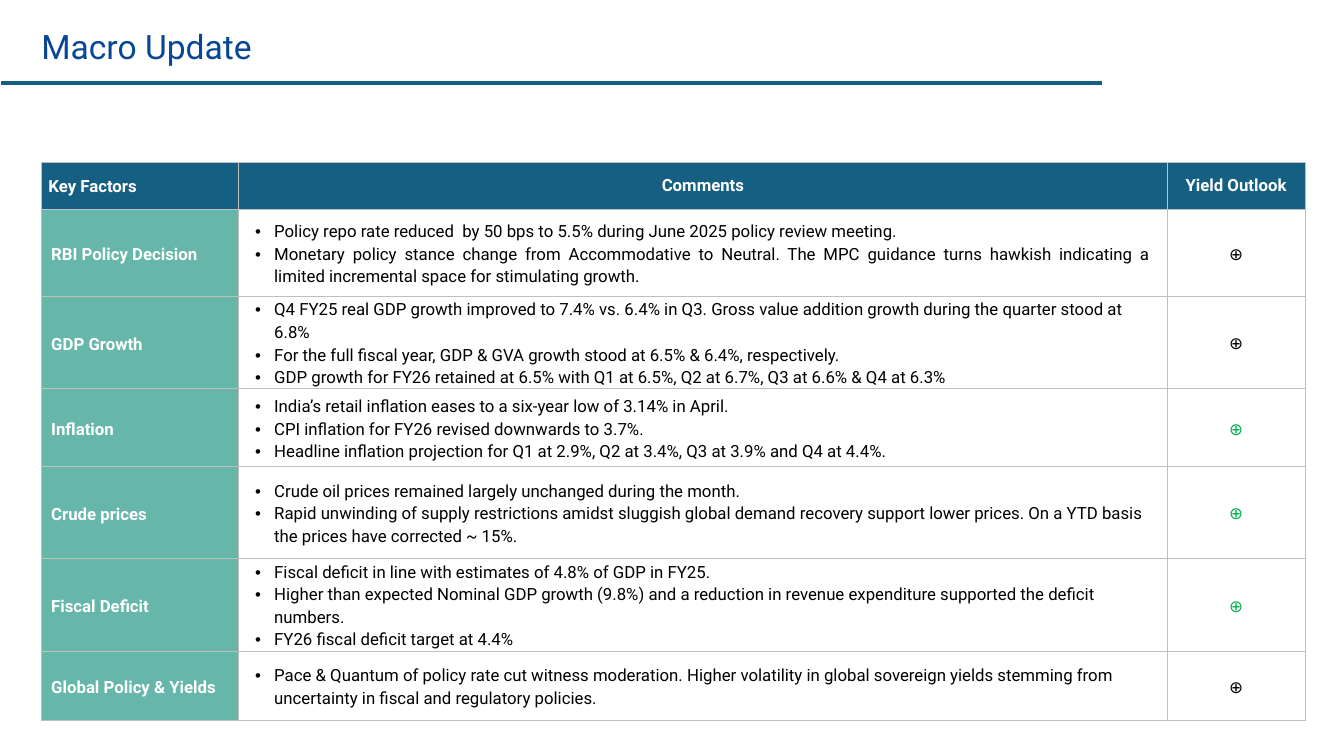
from lxml import etree
from pptx import Presentation
from pptx.dml.color import RGBColor
from pptx.enum.shapes import MSO_CONNECTOR
from pptx.enum.text import MSO_ANCHOR, MSO_AUTO_SIZE, PP_ALIGN
from pptx.oxml.ns import qn
from pptx.util import Cm, Pt

LEFT, CENTER, JUSTIFY = PP_ALIGN.LEFT, PP_ALIGN.CENTER, PP_ALIGN.JUSTIFY
MIDDLE = MSO_ANCHOR.MIDDLE
GROW = MSO_AUTO_SIZE.SHAPE_TO_FIT_TEXT
STRAIGHT = MSO_CONNECTOR.STRAIGHT

FONT = "Roboto"
NAVY, BLUE, TEAL = "084795", "156082", "66B6A9"
WHITE, BLACK, GREEN, GREY = "FFFFFF", "000000", "00B050", "BFBFBF"
OUTLOOK = "⊕"
INDENT = Cm(0.48)

HEADINGS = ["Key Factors", "Comments", "Yield Outlook"]
COLUMN_WIDTHS = [4.98, 23.39, 3.48]
ROW_HEIGHTS = [1.19, 2.18, 2.34, 1.96, 2.31, 2.34, 1.75]
FACTORS = [
    ("RBI Policy Decision", JUSTIFY, BLACK, [
        "Policy repo rate reduced  by 50 bps to 5.5% during June 2025 policy review meeting.",
        "Monetary policy stance change from Accommodative to Neutral. The MPC guidance turns "
        "hawkish indicating a limited incremental space for stimulating growth.",
    ]),
    ("GDP Growth", LEFT, BLACK, [
        "Q4 FY25 real GDP growth improved to 7.4% vs. 6.4% in Q3. Gross value addition growth "
        "during the quarter stood at 6.8%",
        "For the full fiscal year, GDP & GVA growth stood at 6.5% & 6.4%, respectively.",
        "GDP growth for FY26 retained at 6.5% with Q1 at 6.5%, Q2 at 6.7%, Q3 at 6.6% & Q4 at 6.3%",
    ]),
    ("Inflation", LEFT, GREEN, [
        "India’s retail inflation eases to a six-year low of 3.14% in April.",
        "CPI inflation for FY26 revised downwards to 3.7%.",
        "Headline inflation projection for Q1 at 2.9%, Q2 at 3.4%, Q3 at 3.9% and Q4 at 4.4%.",
    ]),
    ("Crude prices", LEFT, GREEN, [
        "Crude oil prices remained largely unchanged during the month.",
        "Rapid unwinding of supply restrictions amidst sluggish global demand recovery support "
        "lower prices. On a YTD basis the prices have corrected ~ 15%.",
    ]),
    ("Fiscal Deficit", LEFT, GREEN, [
        "Fiscal deficit in line with estimates of 4.8% of GDP in FY25.",
        "Higher than expected Nominal GDP growth (9.8%) and a reduction in revenue expenditure "
        "supported the deficit numbers.",
        "FY26 fiscal deficit target at 4.4%",
    ]),
    ("Global Policy & Yields", LEFT, BLACK, [
        "Pace & Quantum of policy rate cut witness moderation. Higher volatility in global "
        "sovereign yields stemming from uncertainty in fiscal and regulatory policies.",
    ]),
]


def rgb(value):
    return RGBColor.from_string(value)


def apply(target, formats):
    for name, value in formats.items():
        setattr(target, name, value)


def margins(left, top, right, bottom):
    sides = ("left", "top", "right", "bottom")
    return {f"margin_{side}": Cm(size) for side, size in zip(sides, (left, top, right, bottom))}


HEADING_MARGINS = [margins(0.18, 0.02, 0.02, 0)] + [margins(0.28, 0, 0.28, 0)] * 2
FACTOR_MARGINS = margins(0.25, 0.02, 0.02, 0)
BODY_MARGINS = margins(0.41, 0, 0.41, 0)


def write(paragraph, text, color, size=12, bold=False, **formats):
    run = paragraph.add_run()
    run.text = text
    apply(run.font, {"name": FONT, "size": Pt(size), "bold": bold})
    run.font.color.rgb = rgb(color)
    apply(paragraph, formats)


def add_bullet(paragraph):
    properties = paragraph._p.get_or_add_pPr()
    properties.set("marL", str(INDENT))
    properties.set("indent", str(-INDENT))
    etree.SubElement(properties, qn("a:buFont")).set("typeface", "Arial")
    etree.SubElement(properties, qn("a:buChar")).set("char", "•")


def add_borders(cell):
    properties = cell._tc.get_or_add_tcPr()
    for side in ("lnL", "lnR", "lnT", "lnB"):
        border = etree.SubElement(properties, qn(f"a:{side}"), w=str(Pt(0.75)))
        fill = etree.SubElement(border, qn("a:solidFill"))
        etree.SubElement(fill, qn("a:srgbClr")).set("val", GREY)


def fill_cell(cell, lines, color, insets, background=None, bulleted=False, **formats):
    apply(cell, {"vertical_anchor": MIDDLE, **insets})
    add_borders(cell)
    if background:
        cell.fill.solid()
        cell.fill.fore_color.rgb = rgb(background)
    else:
        cell.fill.background()
    for index, line in enumerate(lines):
        frame = cell.text_frame
        paragraph = frame.add_paragraph() if index else frame.paragraphs[0]
        if bulleted:
            add_bullet(paragraph)
        write(paragraph, line, color, **formats)


def build_header(slide, left, top, width, height):
    title = slide.shapes.title
    apply(title, {"left": left, "top": top, "width": width, "height": height})
    frame = title.text_frame
    apply(frame, {"vertical_anchor": MIDDLE, "word_wrap": True, "auto_size": GROW,
                  **margins(0, 0, 0, 0)})
    write(frame.paragraphs[0], "Macro Update", NAVY, size=24, alignment=LEFT, line_spacing=0.9)

    rule_y = top + height + Cm(0.36)
    rule = slide.shapes.add_connector(STRAIGHT, Cm(0.03), rule_y, Cm(27.76), rule_y)
    rule.line.color.rgb = rgb(BLUE)
    rule.line.width = Pt(3.5)
    etree.SubElement(rule._element.spPr, qn("a:effectLst"))


def build_outlook_table(slide, left, top, width, height):
    table = slide.shapes.add_table(
        len(ROW_HEIGHTS), len(COLUMN_WIDTHS), left, top, width, height).table
    for column, size in zip(table.columns, COLUMN_WIDTHS):
        column.width = Cm(size)
    for row, size in zip(table.rows, ROW_HEIGHTS):
        row.height = Cm(size)

    for column, heading in enumerate(HEADINGS):
        fill_cell(table.cell(0, column), [heading], WHITE, HEADING_MARGINS[column], BLUE,
                  bold=True, alignment=CENTER if column else LEFT)
    for row, (factor, alignment, outlook_color, comments) in enumerate(FACTORS, 1):
        fill_cell(table.cell(row, 0), [factor], WHITE, FACTOR_MARGINS, TEAL,
                  bold=True, line_spacing=1.15)
        fill_cell(table.cell(row, 1), comments, BLACK, BODY_MARGINS, bulleted=True,
                  alignment=alignment, line_spacing=1.15)
        fill_cell(table.cell(row, 2), [OUTLOOK], outlook_color, BODY_MARGINS,
                  alignment=CENTER, line_spacing=1.15)


def main():
    deck = Presentation()
    apply(deck, {"slide_width": Cm(33.87), "slide_height": Cm(19.05)})
    slide = deck.slides.add_slide(deck.slide_layouts.get_by_name("Title Only"))
    build_header(slide, Cm(1.04), Cm(0.71), Cm(14.12), Cm(1.02))
    build_outlook_table(slide, Cm(1.04), Cm(4.09), Cm(sum(COLUMN_WIDTHS)), Cm(sum(ROW_HEIGHTS)))
    deck.save("out.pptx")


if __name__ == "__main__":
    main()
